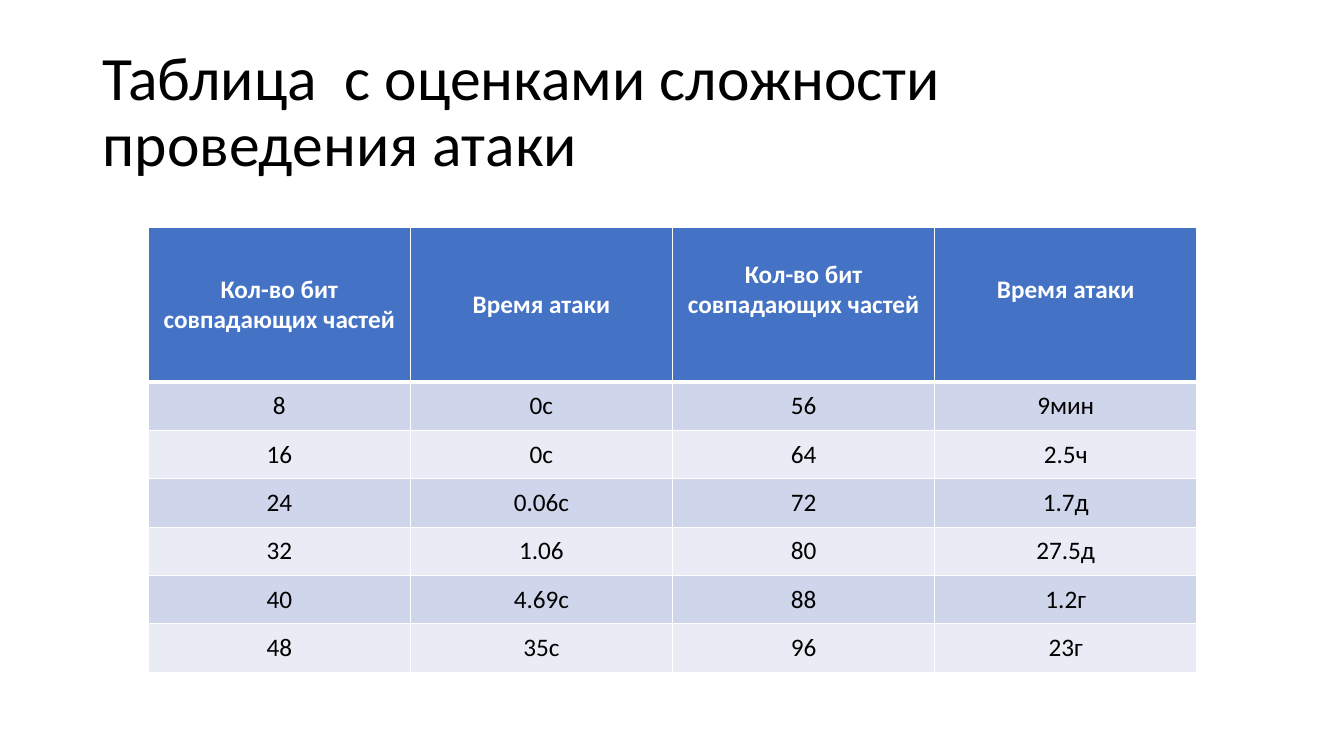
from dataclasses import dataclass

from lxml.etree import SubElement
from pptx import Presentation
from pptx.dml.color import RGBColor as RGB
from pptx.enum.text import MSO_ANCHOR as ANCHOR, PP_ALIGN as ALIGN
from pptx.oxml.ns import qn
from pptx.util import Inches, Pt


@dataclass(frozen=True)
class Theme:
    font: str = "Calibri"
    title_size: int = 44
    table_size: int = 18
    text: str = "000000"
    light: str = "FFFFFF"
    header: str = "4472C4"
    bands: tuple = ("CFD5EA", "E9EBF5")
    thin: int = 1
    thick: int = 3


class SlideBuilder:
    def __init__(self, prs, theme):
        self.theme = theme
        self.s = prs.slides.add_slide(prs.slide_layouts[6])

    def style(self, p, size, color, bold=False):
        for r in p.runs:
            r.font.name = self.theme.font
            r.font.size = Pt(size)
            r.font.bold = bold
            r.font.color.rgb = RGB.from_string(color)

    def title(self, text, left, top, width, height):
        sp = self.s.shapes.add_textbox(Inches(left), Inches(top), Inches(width), Inches(height))
        tf = sp.text_frame
        tf.word_wrap = True
        tf.vertical_anchor = ANCHOR.MIDDLE
        tf.text = text
        p = tf.paragraphs[0]
        p.line_spacing = 0.9
        self.style(p, self.theme.title_size, self.theme.text)

    def borders(self, cell, top, bottom):
        tc_pr = cell._tc.get_or_add_tcPr()
        thin = self.theme.thin
        for side, width in (("L", thin), ("R", thin), ("T", top), ("B", bottom)):
            ln = SubElement(tc_pr, qn(f"a:ln{side}"), w=str(Pt(width)))
            fill = SubElement(ln, qn("a:solidFill"))
            SubElement(fill, qn("a:srgbClr"), val=self.theme.light)

    def cell(self, cell, text, row):
        t = self.theme
        is_header = row == 0
        self.borders(cell, t.thick if row == 1 else t.thin, t.thick if is_header else t.thin)
        cell.fill.solid()
        cell.fill.fore_color.rgb = RGB.from_string(t.header if is_header else t.bands[(row - 1) % 2])
        cell.vertical_anchor = ANCHOR.MIDDLE
        cell.text_frame.text = text
        p = cell.text_frame.paragraphs[0]
        p.alignment = ALIGN.CENTER
        self.style(p, t.table_size, t.light if is_header else t.text, is_header)

    def table(self, rows, left, top, col_width, row_heights):
        cols = len(rows[0])
        frame = self.s.shapes.add_table(
            len(rows), cols, Inches(left), Inches(top),
            Inches(col_width * cols), Inches(sum(row_heights)))
        table = frame.table
        for col in table.columns:
            col.width = Inches(col_width)
        for i, (values, height) in enumerate(zip(rows, row_heights)):
            table.rows[i].height = Inches(height)
            for j, text in enumerate(values):
                self.cell(table.cell(i, j), text, i)
        return table


def main():
    prs = Presentation()
    prs.slide_width = Inches(13.33)
    prs.slide_height = Inches(7.5)
    slide = SlideBuilder(prs, Theme())
    slide.title("Таблица  с оценками сложности проведения атаки", 0.92, 0.4, 11.5, 1.45)
    rows = [
        ("Кол-во бит совпадающих частей", "Время атаки") * 2,
        ("8", "0с", "56", "9мин"),
        ("16", "0с", "64", "2.5ч"),
        ("24", "0.06с", "72", "1.7д"),
        ("32", "1.06", "80", "27.5д"),
        ("40", "4.69с", "88", "1.2г"),
        ("48", "35с", "96", "23г"),
    ]
    table = slide.table(rows, 1.47, 2.26, 2.6, [1.53] + [0.48] * 6)
    for j in (2, 3):
        table.cell(0, j).margin_bottom = Inches(0.35)
    prs.save("out.pptx")


if __name__ == "__main__":
    main()
